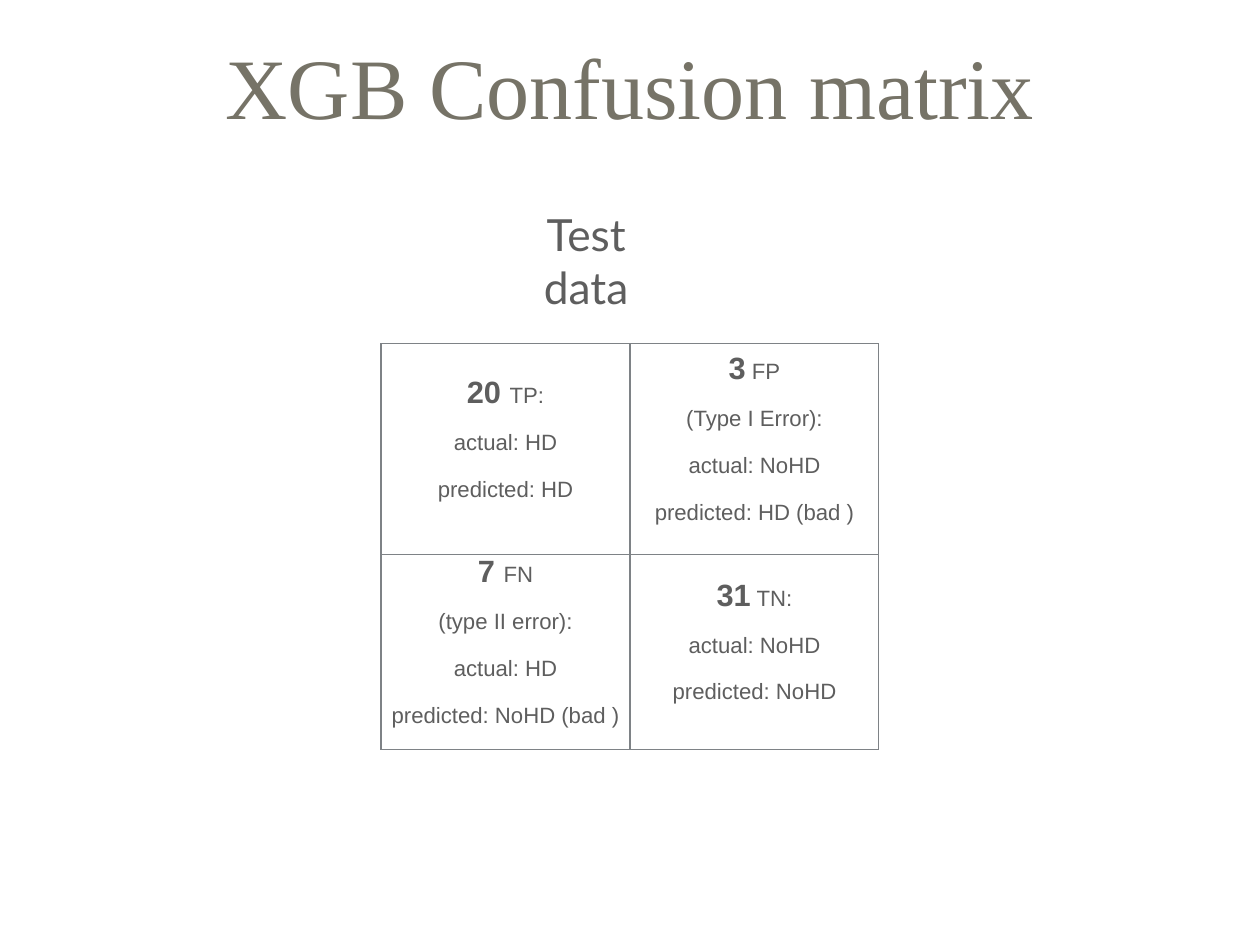
from lxml import etree
from pptx import Presentation
from pptx import util as u
from pptx.dml.color import RGBColor
from pptx.enum import text
from pptx.oxml import ns

WIDE, HIGH = 14.22, 10.67
HUES = {"title": "767367", "text": "5E5E5E", "rule": "7E8286"}
INSET = u.Inches(0.06)
CELLS = [
    [[("20 ", "TP:"), "actual: HD", "predicted: HD"],
     [("3", " FP"), "(Type I Error):", "actual: NoHD", "predicted: HD (bad )"]],
    [[("7 ", "FN"), "(type II error):", "actual: HD", "predicted: NoHD (bad )"],
     [("31", " TN:"), "actual: NoHD", "predicted: NoHD"]],
]


def write(para, words, size=18, font="Arial", hue="text", bold=False):
    para.alignment = text.PP_ALIGN.CENTER
    run = para.add_run()
    run.text = words
    run.font.size = u.Pt(size)
    run.font.name = font
    run.font.bold = bold
    run.font.color.rgb = RGBColor.from_string(HUES[hue])


def label(slide, box, words, right=INSET, left=INSET, **form):
    frame = slide.shapes.add_textbox(*map(u.Inches, box)).text_frame
    frame.word_wrap = True
    frame.vertical_anchor = text.MSO_ANCHOR.MIDDLE
    frame.margin_left, frame.margin_right = left, right
    frame.margin_top = frame.margin_bottom = INSET
    write(frame.paragraphs[0], words, **form)


def border(cell):
    props = cell._tc.get_or_add_tcPr()
    for spot, side in enumerate(("lnL", "lnR", "lnT", "lnB")):
        line = etree.Element(ns.qn(f"a:{side}"), w=str(u.Pt(1)))
        fill = etree.SubElement(line, ns.qn("a:solidFill"))
        etree.SubElement(fill, ns.qn("a:srgbClr"), val=HUES["rule"])
        props.insert(spot, line)


def fill_cell(cell, lines):
    cell.fill.background()
    border(cell)
    cell.vertical_anchor = text.MSO_ANCHOR.MIDDLE
    cell.margin_left = cell.margin_right = INSET
    cell.margin_top = cell.margin_bottom = INSET
    frame = cell.text_frame
    for spot, line in enumerate(lines):
        para = frame.add_paragraph() if spot else frame.paragraphs[0]
        para.line_spacing = 0.1
        para.space_before = u.Pt(36)
        if spot:
            write(para, line)
        else:
            count, tag = line
            write(para, count, size=25, bold=True)
            write(para, tag)


def matrix(slide, box, shares):
    left, top, wide, high = box
    grid = slide.shapes.add_table(2, 2, *map(u.Inches, box)).table
    grid.first_row = grid.horz_banding = False
    for col in grid.columns:
        col.width = u.Inches(wide / 2)
    for row, share in zip(grid.rows, shares):
        row.height = u.Inches(high * share)
    for r, row in enumerate(CELLS):
        for c, lines in enumerate(row):
            fill_cell(grid.cell(r, c), lines)


def main():
    deck = Presentation()
    deck.slide_width, deck.slide_height = u.Inches(WIDE), u.Inches(HIGH)
    slide = deck.slides.add_slide(deck.slide_layouts[6])
    label(slide, ((WIDE - 12.5) / 2, 0.28, 12.5, 1.35), "XGB Confusion matrix",
          size=70, font="Times New Roman", hue="title")
    matrix(slide, ((WIDE - 5.62) / 2, 3.88, 5.62, 4.58), (0.52, 0.48))
    label(slide, (6.09, 2.58, 2.05, 0.71), "Test data", left=0,
          right=u.Inches(1), size=36, font="Lato")
    deck.save("out.pptx")


if __name__ == "__main__":
    main()
